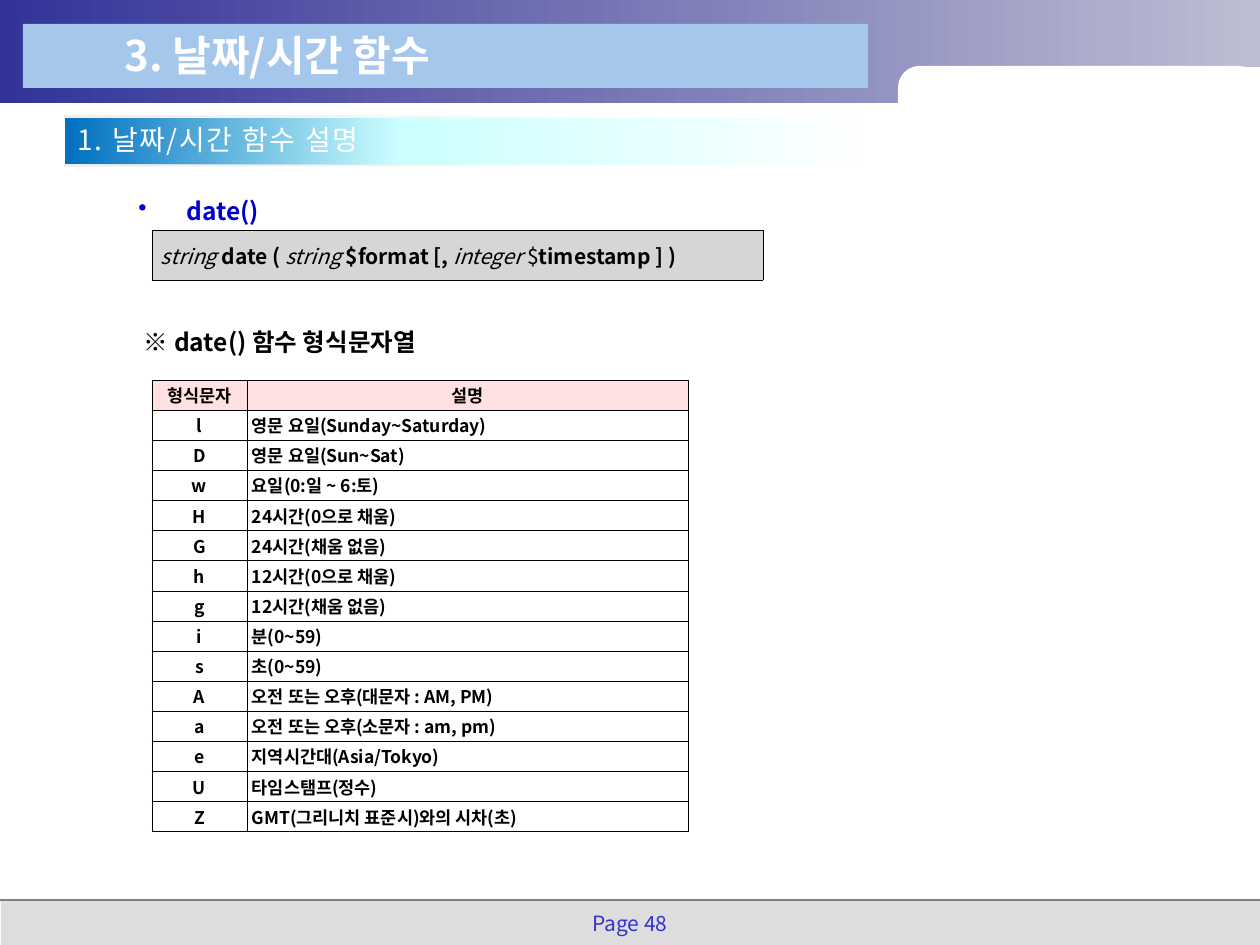
"""Builds a lecture page that explains the date() function and its format characters."""
import lxml.etree
import pptx
import pptx.dml.color
import pptx.enum.shapes
import pptx.enum.text
import pptx.oxml.ns
import pptx.util

SHAPE = pptx.enum.shapes.MSO_SHAPE
ALIGN = pptx.enum.text.PP_ALIGN
MIDDLE = pptx.enum.text.MSO_ANCHOR.MIDDLE
SCALE = 914400 / 126
FORMATS = [
    ("형식문자", "설명"),
    ("l", "영문 요일(Sunday~Saturday)"),
    ("D", "영문 요일(Sun~Sat)"),
    ("w", "요일(0:일 ~ 6:토)"),
    ("H", "24시간(0으로 채움)"),
    ("G", "24시간(채움 없음)"),
    ("h", "12시간(0으로 채움)"),
    ("g", "12시간(채움 없음)"),
    ("i", "분(0~59)"),
    ("s", "초(0~59)"),
    ("A", "오전 또는 오후(대문자 : AM, PM)"),
    ("a", "오전 또는 오후(소문자 : am, pm)"),
    ("e", "지역시간대(Asia/Tokyo)"),
    ("U", "타임스탬프(정수)"),
    ("Z", "GMT(그리니치 표준시)와의 시차(초)"),
]
SYNTAX = [
    ("string ", False, True),
    ("date ( ", True, False),
    ("string", False, True),
    (" $format [, ", True, False),
    ("integer", False, True),
    (" $", False, False),
    ("timestamp ] )", True, False),
]


def px(*lengths):
    return [round(length * SCALE) for length in lengths]


def rgb(color):
    return pptx.dml.color.RGBColor.from_string(color)


def add(parent, tag, **attributes):
    values = {name: str(value) for name, value in attributes.items()}
    return lxml.etree.SubElement(parent, pptx.oxml.ns.qn(tag), values)


class Page:
    """Holds the font and the current slide, and draws each kind of element."""

    def __init__(self, slide, font="Noto Sans CJK KR"):
        self.slide = slide
        self.shapes = slide.shapes
        self.font = font

    def style(self, font, size, color="000000", bold=False):
        font.name, font.size, font.bold = self.font, pptx.util.Pt(size), bold
        font.color.rgb = rgb(color)
        add(font._element, "a:ea", typeface=self.font)

    def fill_para(self, para, text, size, color="000000", bold=False, align=ALIGN.LEFT):
        para.text = text
        para.alignment = align
        self.style(para.font, size, color, bold)

    def block(self, bounds, fill, kind=SHAPE.RECTANGLE):
        shape = self.shapes.add_shape(kind, *px(*bounds))
        shape.shadow.inherit = False
        shape.line.fill.background()
        if isinstance(fill, str):
            shape.fill.solid()
            shape.fill.fore_color.rgb = rgb(fill)
            return shape
        shape.fill.gradient()
        shape.fill.gradient_angle = 0
        stops = shape.element.spPr.find(".//" + pptx.oxml.ns.qn("a:gsLst"))
        for stop in list(stops):
            stops.remove(stop)
        for place, color, alpha in fill:
            stop = add(stops, "a:gs", pos=place * 1000)
            add(add(stop, "a:srgbClr", val=color), "a:alpha", val=alpha * 1000)
        return shape

    def line(self, start, end, color, width):
        line = self.shapes.add_connector(
            pptx.enum.shapes.MSO_CONNECTOR.STRAIGHT, *px(*start, *end))
        line.line.color.rgb = rgb(color)
        line.line.width = pptx.util.Pt(width)
        add(line.element.spPr, "a:effectLst")

    def title(self, bounds, text, size, color):
        title = self.shapes.title
        title.element.getparent().append(title.element)
        title.left, title.top, title.width, title.height = px(*bounds)
        frame = title.text_frame
        frame.auto_size = pptx.enum.text.MSO_AUTO_SIZE.NONE
        frame.vertical_anchor = MIDDLE
        self.fill_para(frame.paragraphs[0], text, size, color, bold=True)

    def text(self, bounds, text, size, color, **options):
        frame = self.shapes.add_textbox(*px(*bounds)).text_frame
        frame.word_wrap = True
        frame.vertical_anchor = MIDDLE
        self.fill_para(frame.paragraphs[0], text, size, color, **options)
        return frame

    def heading(self, bounds, text, size, color, shadow):
        span = self.text(bounds, text, size, color).paragraphs[0].runs[0]
        self.style(span.font, size, color)
        properties = span.font._element
        properties.set("spc", "100")
        effects = add(properties, "a:effectLst")
        properties.insert(1, effects)
        cast = add(effects, "a:outerShdw", dist=25400, dir=2700000)
        add(cast, "a:srgbClr", val=shadow)

    def bullet(self, para, mark, left, hang):
        properties = para._p.get_or_add_pPr()
        properties.set("marL", str(px(left)[0]))
        properties.set("indent", str(-px(hang)[0]))
        sign = add(properties, "a:buChar", char=mark)
        properties.find(pptx.oxml.ns.qn("a:defRPr")).addprevious(sign)

    def table(self, bounds, widths, rows):
        frame = self.shapes.add_table(rows, len(widths), *px(*bounds))
        table = frame.table
        table.first_row = table.horz_banding = False
        for column, width in zip(table.columns, px(*widths)):
            column.width = width
        return table

    def cell(self, cell, fill, side, edge):
        cell.vertical_anchor = MIDDLE
        cell.margin_left = cell.margin_right = px(side)[0]
        cell.margin_top = cell.margin_bottom = px(edge)[0]
        properties = cell._tc.get_or_add_tcPr()
        for name in ("a:lnL", "a:lnR", "a:lnT", "a:lnB"):
            border = add(properties, name, w=3556)
            add(add(border, "a:solidFill"), "a:srgbClr", val="000000")
        if fill:
            cell.fill.solid()
            cell.fill.fore_color.rgb = rgb(fill)
        else:
            cell.fill.background()
        return cell.text_frame.paragraphs[0]


def main():
    deck = pptx.Presentation()
    deck.slide_width, deck.slide_height = px(1260, 945)
    page = Page(deck.slides.add_slide(deck.slide_layouts[5]))

    page.block((1, 900, 1259, 49), "DDDDDD")
    page.block((0, 0, 1260, 103), [(0, "333399", 100), (100, "BDBDD3", 100)])
    page.line((0, 900), (1260, 900), "808080", 1)
    panel = page.block((898, 66, 362, 74), "FFFFFF", SHAPE.ROUNDED_RECTANGLE)
    panel.adjustments[0] = 0.29
    page.block((1147, 67, 113, 30), "FFFFFF")
    page.block((23, 24, 845, 64), "A6C7EC")
    number = page.text((573, 907, 114, 35), "Page 48", 12, "3333CC", align=ALIGN.CENTER)
    number.paragraphs[0].line_spacing = 0.9

    body = page.text((74, 190, 973, 179), "date()", 14, "0000CC", bold=True)
    body.vertical_anchor = pptx.enum.text.MSO_ANCHOR.TOP
    page.bullet(body.paragraphs[0], "•", 100, 48)
    note = body.add_paragraph()
    page.fill_para(note, " ※ date() 함수 형식문자열", 14, bold=True)
    note.space_before = pptx.util.Pt(58)
    note._p.get_or_add_pPr().set("marL", str(px(52)[0]))

    formats = page.table((152, 380, 536, 452), (95, 441), len(FORMATS))
    for row, texts in enumerate(FORMATS):
        for column, text in enumerate(texts):
            para = page.cell(formats.cell(row, column), None if row else "FFE1E1", 5, 1)
            align = ALIGN.JUSTIFY if row and column else ALIGN.CENTER
            page.fill_para(para, text, 10, bold=True, align=align)

    syntax = page.table((152, 230, 611, 50), (611,), 1)
    para = page.cell(syntax.cell(0, 0), "D6D6D6", 9, 3)
    for text, bold, italic in SYNTAX:
        span = para.add_run()
        span.text = text
        page.style(span.font, 12, bold=bold)
        span.font.italic = italic

    page.title((112, 23, 626, 63), "3. 날짜/시간 함수", 24, "FFFFFF")
    page.block((65, 118, 840, 47),
               [(0, "0070C0", 100), (40, "CCFFFF", 100), (97, "FFFFFF", 100)])
    for top in (116, 165):
        page.block((65, top, 530, 2), [(0, "F0F0F0", 100), (100, "EAEAEA", 0)])
    page.heading((65, 116, 844, 47), "1. 날짜/시간 함수 설명", 16, "FFFFFF", "000080")
    deck.save("out.pptx")


if __name__ == "__main__":
    main()
